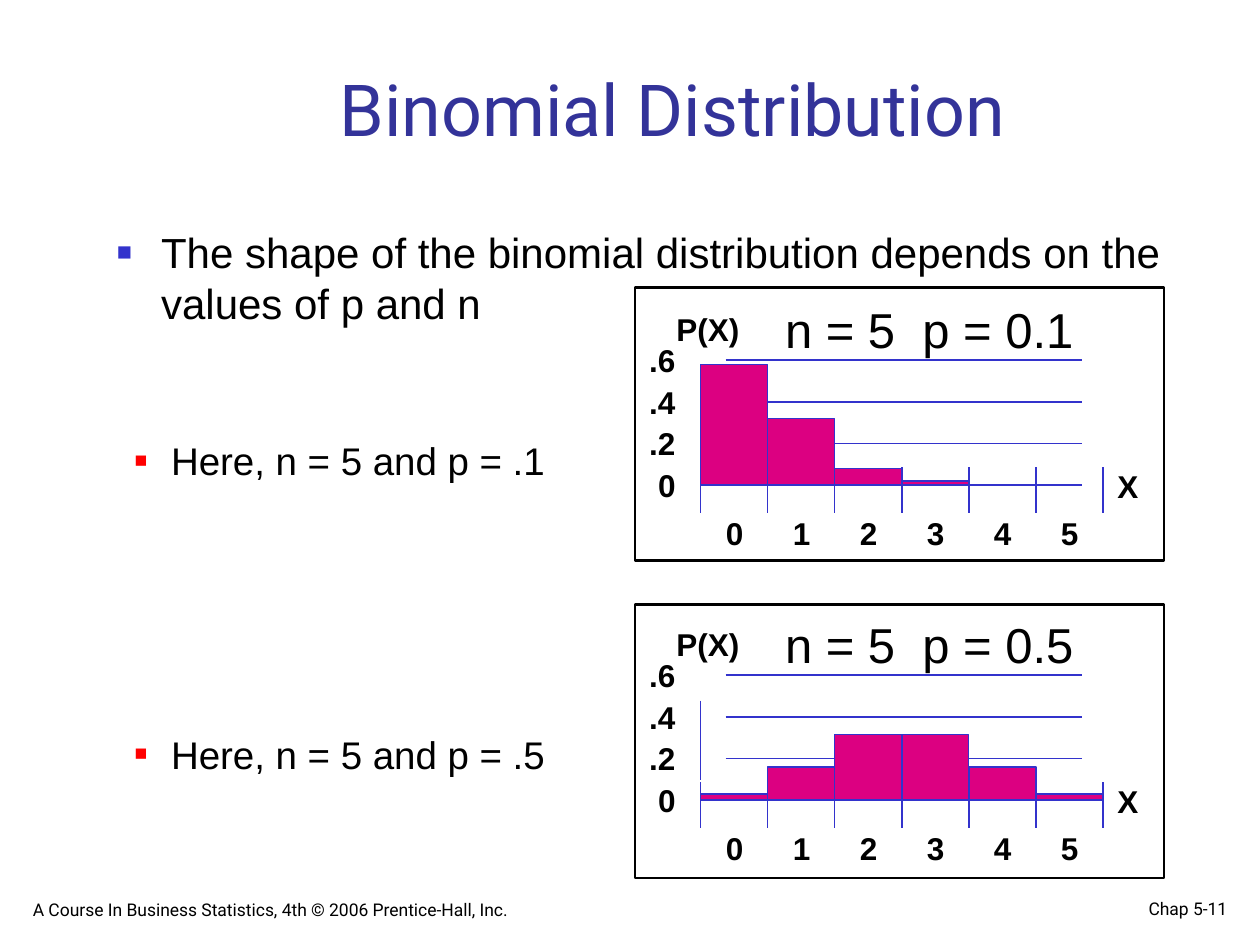
from lxml.etree import SubElement
from pptx import Presentation
from pptx.dml.color import RGBColor
from pptx.enum.shapes import MSO_CONNECTOR, MSO_SHAPE
from pptx.enum.text import MSO_ANCHOR, PP_ALIGN
from pptx.oxml.ns import qn
from pptx.util import Inches, Pt

COLORS = {"title": "333399", "text": "000000", "axis": "3333CC", "bar": "DC0081",
          "red": "FF0000"}
COLORS = {name: RGBColor.from_string(value) for name, value in COLORS.items()}

deck = Presentation()
deck.slide_width, deck.slide_height = Inches(10), Inches(7.5)
page = deck.slides.add_slide(deck.slide_layouts[5])


def add_text(text, left, top, width, height, size, font="Arial", bold=False,
             align=PP_ALIGN.LEFT, anchor=MSO_ANCHOR.TOP, wrap=True, inset=0.1, bullet=None):
    box = page.shapes.add_textbox(Inches(left), Inches(top), Inches(width), Inches(height))
    frame = box.text_frame
    frame.word_wrap = wrap
    frame.vertical_anchor = anchor
    frame.margin_left = frame.margin_right = Inches(inset)
    para = frame.paragraphs[0]
    para.text = text
    para.alignment = align
    if bullet:
        color, percent, margin, hang, para.level = bullet
        properties = para._p.get_or_add_pPr()
        properties.set("marL", str(Inches(margin)))
        properties.set("indent", str(-Inches(hang)))
        bullet_color = SubElement(properties, qn("a:buClr"))
        SubElement(bullet_color, qn("a:srgbClr"), val=str(COLORS[color]))
        SubElement(properties, qn("a:buSzPct"), val=str(percent * 1000))
        SubElement(properties, qn("a:buFont"), typeface="Arial")
        SubElement(properties, qn("a:buChar"), char="■")
    para.font.name = font
    para.font.size = Pt(size)
    para.font.bold = bold
    para.font.color.rgb = COLORS["text"]


def add_line(x1, y1, x2, y2):
    line = page.shapes.add_connector(MSO_CONNECTOR.STRAIGHT, Inches(x1), Inches(y1),
                                     Inches(x2), Inches(y2))
    line.line.color.rgb = COLORS["axis"]
    line.line.width = Pt(1)
    SubElement(line._element.spPr, qn("a:effectLst"))


title = page.shapes.title
title.left, title.top = Inches(1.08), Inches(0.42)
title.width, title.height = Inches(8.52), Inches(0.83)
title.text_frame.text = "Binomial Distribution"
title.text_frame.vertical_anchor = MSO_ANCHOR.BOTTOM
heading = title.text_frame.paragraphs[0]
heading.alignment = PP_ALIGN.CENTER
heading.font.name = "Roboto"
heading.font.size = Pt(41)
heading.font.color.rgb = COLORS["title"]

add_text("A Course In Business Statistics, 4th © 2006 Prentice-Hall, Inc.",
         0.17, 7, 5.08, 0.35, 10, font="Roboto", anchor=MSO_ANCHOR.BOTTOM, inset=0.09)
add_text("Chap 5-11", 7.75, 7, 2.08, 0.34, 10, font="Roboto", align=PP_ALIGN.RIGHT,
         anchor=MSO_ANCHOR.BOTTOM, inset=0.09)

AXIS_LEFT, BAR_WIDTH = 5.56, 0.532
GRID_LEFT, GRID_RIGHT, GRID_STEP = 5.76, 8.59, 0.33
AXIS_HEIGHT = 0.79
UNIT = GRID_STEP / 0.2
histograms = [
    (2.28, 3.85, "n = 5  p = 0.1", [0.58, 0.32, 0.08, 0.02]),
    (4.8, 6.35, "n = 5  p = 0.5", [0.03, 0.16, 0.315, 0.315, 0.16, 0.03]),
]
for frame_top, base, caption, values in histograms:
    panel = page.shapes.add_shape(MSO_SHAPE.RECTANGLE, Inches(5.04), Inches(frame_top),
                                  Inches(4.2), Inches(2.17))
    panel.shadow.inherit = False
    panel.fill.background()
    panel.line.color.rgb = COLORS["text"]
    panel.line.width = Pt(1.5)
    add_text(caption, 5.92, base - 1.52, 2.91, 0.56, 28, align=PP_ALIGN.CENTER)

    for step, label in enumerate(["0", ".2", ".4", ".6"]):
        level = base - step * GRID_STEP
        if step:
            add_line(GRID_LEFT, level, GRID_RIGHT, level)
        add_text(label, 5.05, level - 0.2, 0.41, 0.4, 18, bold=True,
                 align=PP_ALIGN.RIGHT, wrap=False)

    for index, value in enumerate(values):
        bar = page.shapes.add_shape(
            MSO_SHAPE.RECTANGLE, Inches(AXIS_LEFT + index * BAR_WIDTH),
            Inches(base - value * UNIT), Inches(BAR_WIDTH), Inches(value * UNIT))
        bar.shadow.inherit = False
        bar.fill.solid()
        bar.fill.fore_color.rgb = COLORS["bar"]
        bar.line.color.rgb = COLORS["axis"]
        bar.line.width = Pt(1)

    if values[0] * UNIT < AXIS_HEIGHT:
        add_line(AXIS_LEFT, base - AXIS_HEIGHT, AXIS_LEFT, base - 0.16)
    add_line(GRID_LEFT, base, GRID_RIGHT, base)
    for index in range(7):
        tick = AXIS_LEFT + index * BAR_WIDTH
        add_line(tick, base + 0.22, tick, base - 0.14)
    for index in range(6):
        add_text(str(index), 5.66 + index * BAR_WIDTH, base + 0.18, 0.34, 0.4, 18,
                 bold=True, align=PP_ALIGN.CENTER, wrap=False)
    add_text("X", 8.77, base - 0.19, 0.36, 0.4, 18, bold=True, wrap=False)
    add_text("P(X)", 5.27, base - 1.44, 0.7, 0.4, 18, bold=True, wrap=False)

add_text("The shape of the binomial distribution depends on the values of p and n",
         0.83, 1.75, 8.58, 0.92, 24, bullet=("axis", 60, 0.35, 0.35, 0))
for text, top in [("Here, n = 5 and p = .1", 3.42), ("Here, n = 5 and p = .5", 5.75)]:
    add_text(text, 0.5, top, 4.33, 0.67, 22, bullet=("red", 55, 0.76, 0.29, 1))

deck.save("out.pptx")
